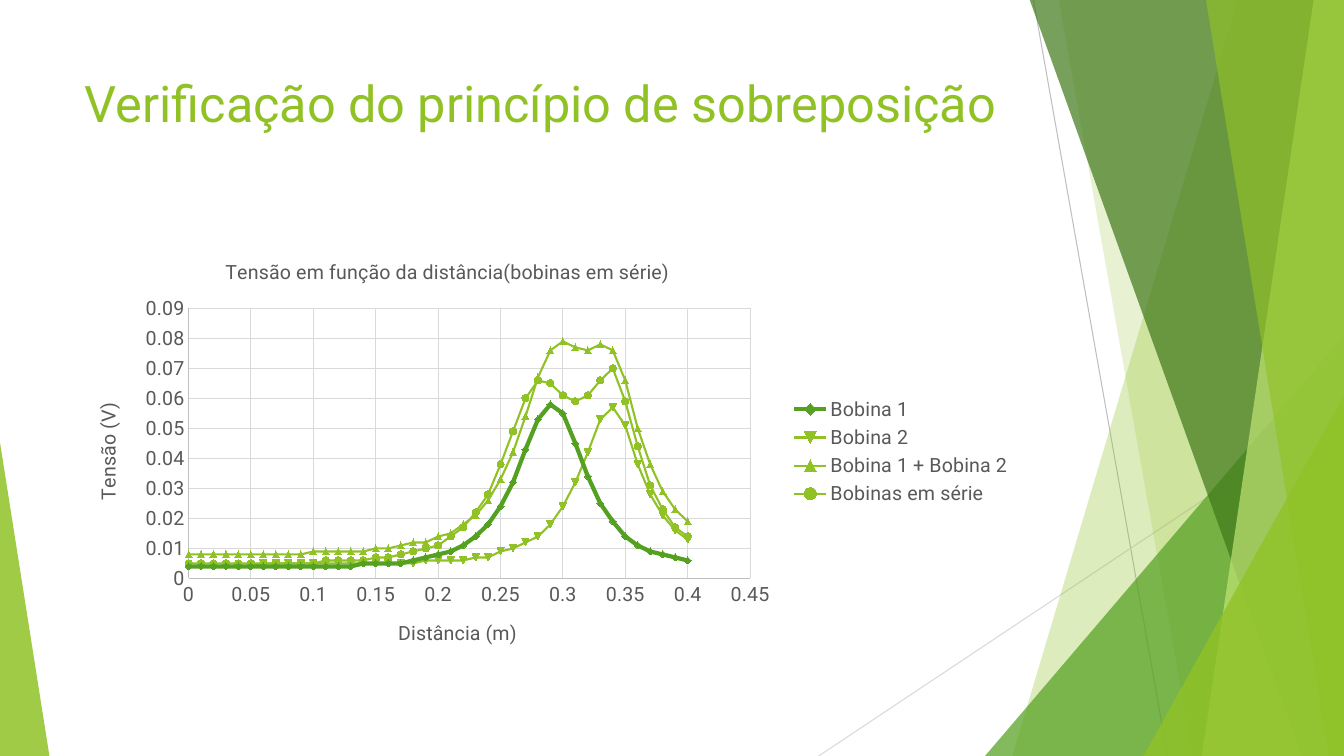
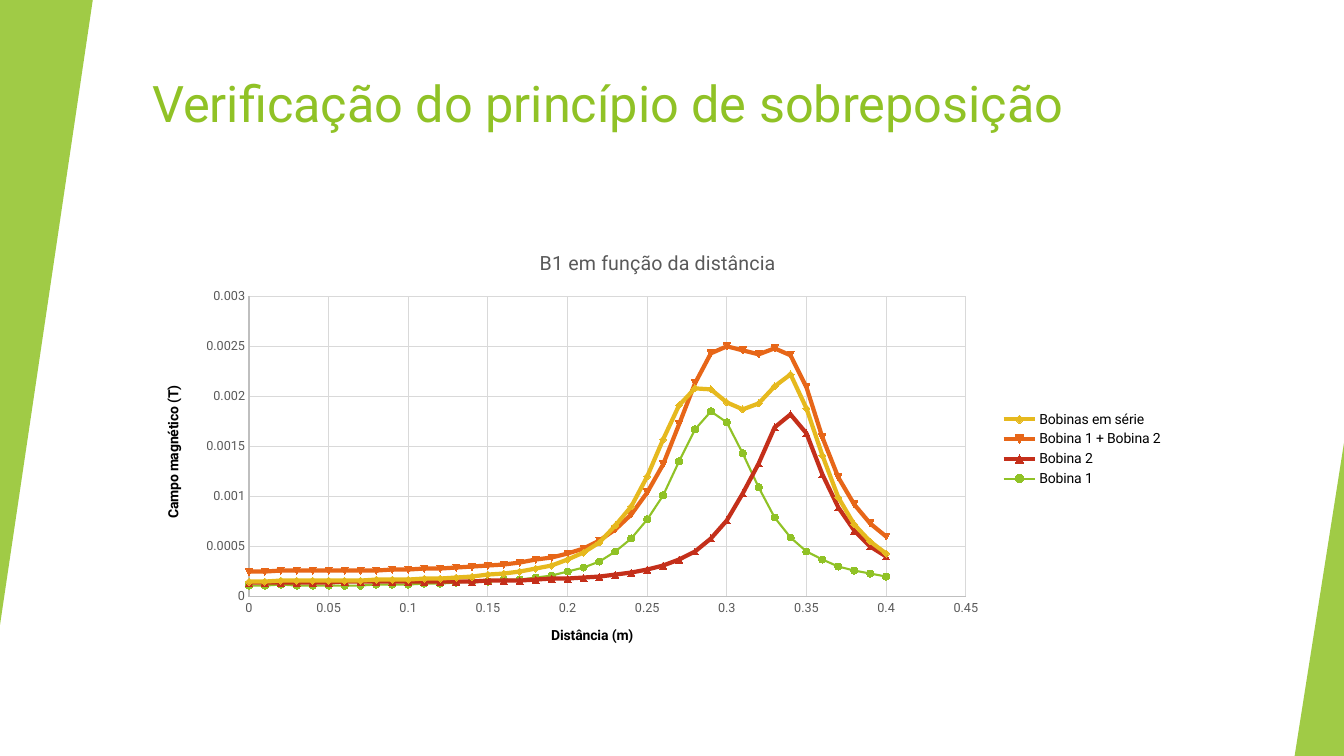
from pptx import Presentation
from pptx.chart.data import XyChartData
from pptx.dml.color import RGBColor
from pptx.enum.chart import XL_CHART_TYPE, XL_LEGEND_POSITION, XL_MARKER_STYLE, XL_TICK_MARK
from pptx.enum.shapes import MSO_CONNECTOR, MSO_SHAPE
from pptx.enum.text import MSO_ANCHOR, MSO_AUTO_SIZE, PP_ALIGN
from pptx.oxml.ns import qn
from pptx.oxml.xmlchemy import OxmlElement
from pptx.util import Inches, Pt

SCATTER = XL_CHART_TYPE.XY_SCATTER_LINES
RIGHT = XL_LEGEND_POSITION.RIGHT
CIRCLE = XL_MARKER_STYLE.CIRCLE
NO_TICK = XL_TICK_MARK.NONE
STRAIGHT = MSO_CONNECTOR.STRAIGHT
TRIANGLE = MSO_SHAPE.ISOSCELES_TRIANGLE
RECT = MSO_SHAPE.RECTANGLE

# Shared look
FONT = "Roboto"
WIDE, HIGH, TOP = 13.33, 7.5, -0.01
LIME, GREEN, FOREST, PALE = "90C226", "54A021", "3F7819", "C0E474"
GOLD, ORANGE, RED = "E6B91E", "E76618", "C42F1A"
GRAY, AXIS, GRID, BLACK, WHITE = "595959", "BFBFBF", "D9D9D9", "000000", "FFFFFF"
THIN, THICK = 1.5, 3
HEAD = "Verificação do princípio de sobreposição"

# Template art
# Rays: start, end, colour
# Bands reach the right edge: top left x, bottom left x, colour, opacity
# Triangles: box, apex, colour, opacity, turn
FACETS = [("ray", (10.25, 0), (11.58, HIGH), AXIS),
          ("ray", (WIDE, 4.03), (8.12, HIGH), GRID),
          ("band", 12.28, 10.04, LIME, 30),
          ("band", 10.5, 11.83, LIME, 20),
          ("tri", (9.77, 3.33, 3.56, 4.17), 1, GREEN, 72, 0),
          ("band", 10.21, 12.91, FOREST, 70),
          ("band", 13.03, 11.92, PALE, 70),
          ("band", 11.96, 13.18, LIME, 65),
          ("tri", (11.34, 3.93, 1.99, 3.57), 1, LIME, 80, 0),
          ("tri", (0, 4.39, 0.49, 3.11), 0, LIME, 85, 0)]
# Art of the wide slide, on a white ground
WEDGES = [("ground", WHITE),
          ("tri", (0, 0, 0.92, 6.2), 1, LIME, 85, 180),
          ("tri", (12.84, 4.39, 0.49, 3.11), 1, LIME, 85, 0)]

# Series: name, colour, line width, readings every 0.01 m
VOLTS = [
    ("Bobina 1", GREEN, THICK,
     [4, 4, 4, 4, 4, 4, 4, 4, 4, 4, 4, 4, 4, 4, 5, 5, 5, 5, 6, 7, 8, 9, 11, 14, 18, 24,
      32, 43, 53, 58, 55, 45, 34, 25, 19, 14, 11, 9, 8, 7, 6]),
    ("Bobina 2", LIME, THIN,
     [4, 4, 4, 4, 4, 4, 5, 5, 5, 5, 5, 5, 5, 5, 5, 5, 5, 5, 5, 6, 6, 6, 6, 7, 7, 9,
      10, 12, 14, 18, 24, 32, 42, 53, 57, 51, 38, 28, 21, 16, 13]),
    ("Bobina 1 + Bobina 2", LIME, THIN,
     [8, 8, 8, 8, 8, 8, 8, 8, 8, 8, 9, 9, 9, 9, 9, 10, 10, 11, 12, 12, 14, 15, 18, 21,
      26, 33, 42, 54, 67, 76, 79, 77, 76, 78, 76, 66, 50, 38, 29, 23, 19]),
    ("Bobinas em série", LIME, THIN,
     [5, 5, 5, 5, 5, 5, 5, 5, 5, 5, 5, 6, 6, 6, 6, 7, 7, 8, 9, 10, 11, 14, 17, 22, 28,
      38, 49, 60, 66, 65, 61, 59, 61, 66, 70, 59, 44, 31, 23, 17, 14]),
]
FIELD = [
    ("Bobinas em série", GOLD, THICK,
     [15, 15, 16, 16, 16, 16, 16, 16, 17, 17, 17, 18, 18, 19, 20, 22, 23, 25, 28, 31, 37,
      44, 54, 71, 90, 120, 157, 191, 208, 207, 194, 187, 193, 210, 222, 188, 141, 99, 72,
      55, 43]),
    ("Bobina 1 + Bobina 2", ORANGE, THICK,
     [25, 25, 26, 26, 26, 26, 26, 26, 26, 27, 27, 28, 28, 29, 30, 31, 32, 34, 37, 39, 43,
      48, 56, 67, 82, 104, 132, 172, 213, 243, 250, 246, 242, 248, 241, 209, 159, 119, 92,
      73, 60]),
    ("Bobina 2", RED, THICK,
     [14, 14, 14, 14, 14, 14, 15, 15, 15, 15, 15, 15, 15, 15, 15, 16, 16, 16, 17, 18, 18,
      19, 20, 22, 24, 27, 31, 37, 45, 58, 76, 103, 133, 169, 182, 163, 122, 89, 66, 50, 40]),
    ("Bobina 1", LIME, THIN,
     [11, 11, 12, 11, 11, 11, 11, 11, 12, 12, 12, 13, 13, 14, 15, 15, 17, 17, 19, 21, 25,
      29, 35, 45, 58, 77, 101, 135, 167, 185, 174, 143, 109, 79, 59, 45, 37, 30, 26, 23, 20]),
]

# Axes: title, maximum, step. Spot and plot: inches on the slide
SLIDES = [
    dict(art=[], head=(0.74, 0.67, 9.4, 1.44), box=(0.74, 2.36, 9.4, 4.24),
         title="Tensão em função da distância(bobinas em série)", spot=(2.2, 2.53),
         plot=(1.87, 3.06, 5.57, 2.68), across=("Distância (m)", 0.45, 0.05),
         up=("Tensão (V)", 90, 10), unit=1000, data=VOLTS,
         tick=14, label=14, ink=GRAY, bold=False),
    dict(art=WEDGES, head=(1.41, 0.67, 10.6, 0.85), box=(1.41, 2.3, 10.23, 4.31),
         title="B1 em função da distância", spot=None,
         plot=(2.47, 2.94, 7.11, 2.98), across=("Distância (m)", 0.45, 0.05),
         up=("Campo magnético (T)", 300, 50), unit=100000, data=FIELD,
         tick=9, label=10, ink=BLACK, bold=True),
]


def rgb(code):
    return RGBColor.from_string(code)


def style(font, size, ink, bold=False):
    font.name, font.size, font.bold = FONT, Pt(size), bold
    font.color.rgb = rgb(ink)


def write(frame, text, size, ink, bold=False):
    run = frame.paragraphs[0].add_run()
    run.text = text
    style(run.font, size, ink, bold)


def stroke(line, ink, width=0.75):
    line.color.rgb = rgb(ink)
    line.width = Pt(width)


def node(root, tag, val):
    item = OxmlElement(tag)
    item.set("val", str(val))
    root.append(item)


# Art
def ray(slide, start, end, ink):
    line = slide.shapes.add_connector(STRAIGHT, *map(Inches, start + end))
    stroke(line.line, ink)
    line._element.spPr.append(OxmlElement("a:effectLst"))
    return line


def paint(shape, ink, alpha=100):
    shape.shadow.inherit = False
    shape.fill.solid()
    shape.fill.fore_color.rgb = rgb(ink)
    if alpha < 100:
        node(shape._element.spPr.find(".//" + qn("a:srgbClr")), "a:alpha", alpha * 1000)
    shape.line.fill.background()
    return shape


def ground(slide, ink):
    box = map(Inches, (0, 0, WIDE, HIGH))
    return paint(slide.shapes.add_shape(RECT, *box), ink)


def band(slide, high, low, ink, alpha):
    dots = [(high, TOP), (WIDE, TOP), (WIDE, HIGH), (low, HIGH)]
    dots = [(Inches(x), Inches(y)) for x, y in dots]
    path = slide.shapes.build_freeform(*dots[0])
    path.add_line_segments(dots[1:], close=True)
    return paint(path.convert_to_shape(), ink, alpha)


def wedge(slide, box, apex, ink, alpha, turn):
    shape = slide.shapes.add_shape(TRIANGLE, *map(Inches, box))
    shape.adjustments[0] = apex
    shape.rotation = turn
    return paint(shape, ink, alpha)


DRAW = {"ray": ray, "ground": ground, "band": band, "tri": wedge}


def adorn(slide, art, home):
    """Draw the art and set it at the back of its home."""
    for i, (kind, *rest) in enumerate(art):
        home.shapes._spTree.insert(2 + i, DRAW[kind](slide, *rest)._element)


# Title
def head(slide, box):
    title = slide.shapes.title
    title.left, title.top, title.width, title.height = map(Inches, box)
    frame = title.text_frame
    frame.word_wrap = True
    frame.auto_size = MSO_AUTO_SIZE.NONE
    frame.vertical_anchor = MSO_ANCHOR.TOP
    frame.paragraphs[0].alignment = PP_ALIGN.LEFT
    write(frame, HEAD, 36, LIME)


# Chart
def place(part, spot, box, index):
    left, top, wide, high = box
    lay = part.find(qn("c:layout"))
    if lay is None:
        lay = OxmlElement("c:layout")
        part.insert(index, lay)
    hand = OxmlElement("c:manualLayout")
    lay.append(hand)
    if len(spot) == 4:
        node(hand, "c:layoutTarget", "inner")
    for key in "xy":
        node(hand, f"c:{key}Mode", "edge")
    for key, val, base, size in zip("xywh", spot, (left, top, 0, 0), (wide, high) * 2):
        node(hand, "c:" + key, round((val - base) / size, 4))


def scale(axis, text, top, step, page):
    axis.minimum_scale, axis.maximum_scale, axis.major_unit = 0, top, step
    axis.major_tick_mark = axis.minor_tick_mark = NO_TICK
    axis.has_major_gridlines = True
    stroke(axis.major_gridlines.format.line, GRID)
    stroke(axis.format.line, AXIS)
    axis.tick_labels.number_format = "General"
    axis.tick_labels.number_format_is_linked = False
    style(axis.tick_labels.font, page["tick"], GRAY)
    write(axis.axis_title.text_frame, text, page["label"], page["ink"], page["bold"])


def graph(slide, page):
    unit, box = page["unit"], page["box"]
    data = XyChartData()
    for name, ink, width, vals in page["data"]:
        row = data.add_series(name)
        for i, val in enumerate(vals):
            row.add_data_point(i / 100, val / unit)
    chart = slide.shapes.add_chart(SCATTER, *map(Inches, box), data).chart
    style(chart.font, page["label"], page["ink"])
    chart.has_title = True
    write(chart.chart_title.text_frame, page["title"], 14, GRAY)
    if page["spot"]:
        place(chart.chart_title._element, page["spot"], box, 1)
    place(chart._chartSpace.chart.plotArea, page["plot"], box, 0)
    chart.has_legend = True
    chart.legend.position = RIGHT
    chart.legend.include_in_layout = False
    style(chart.legend.font, page["label"], page["ink"])
    scale(chart.category_axis, *page["across"], page)
    text, top, step = page["up"]
    scale(chart.value_axis, text, top / unit, step / unit, page)

    plot = chart.plots[0]
    plot.vary_by_categories = False
    for row, (name, ink, width, vals) in zip(plot.series, page["data"]):
        row.smooth = False
        stroke(row.format.line, ink, width)
        row.marker.size = 5
        row.marker.format.fill.solid()
        row.marker.format.fill.fore_color.rgb = rgb(ink)
        stroke(row.marker.format.line, ink)
    row.marker.style = CIRCLE


# Build
deck = Presentation()
deck.slide_width, deck.slide_height = Inches(WIDE), Inches(HIGH)
base = deck.slide_layouts[5]
for page in SLIDES:
    slide = deck.slides.add_slide(base)
    if page is SLIDES[0]:
        adorn(slide, FACETS, base)
    adorn(slide, page["art"], slide)
    head(slide, page["head"])
    graph(slide, page)
deck.save("out.pptx")
